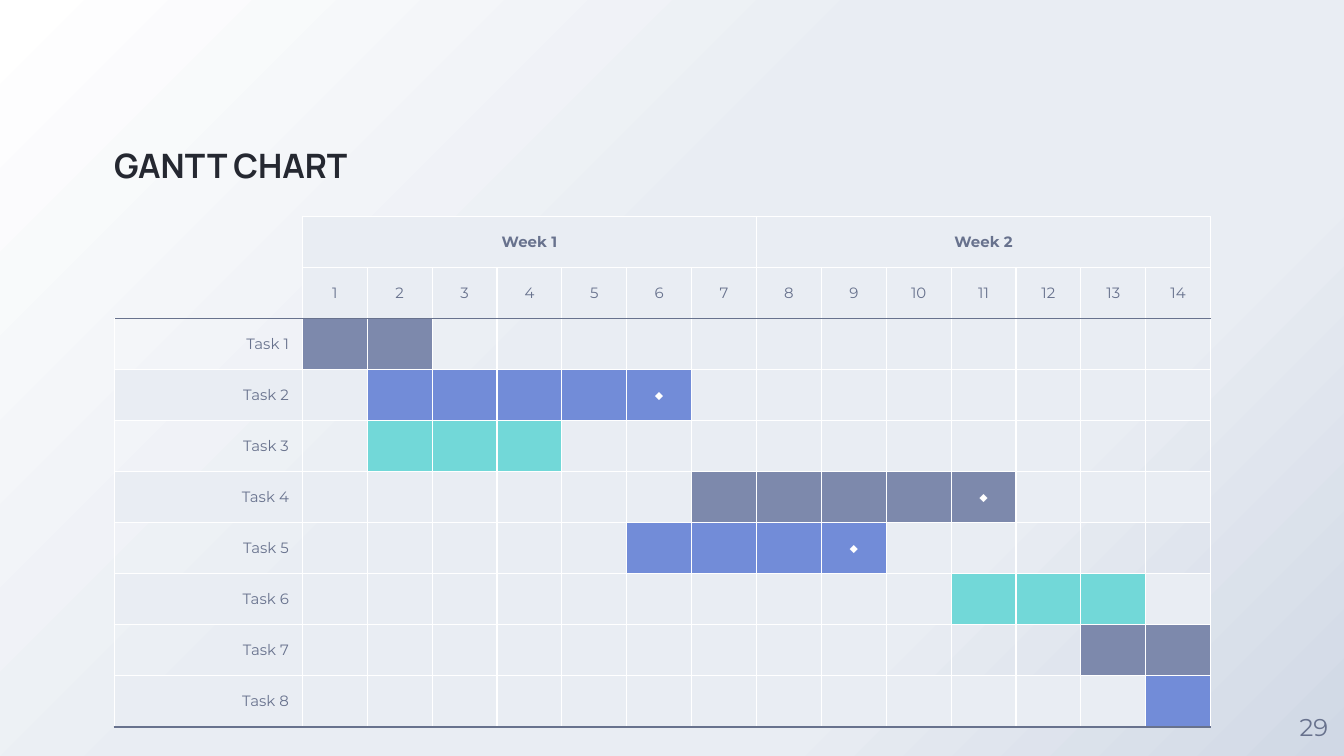
"""Build a two-week Gantt chart slide."""
from pptx import Presentation
from pptx import oxml, util as u
from pptx.dml.color import RGBColor
from pptx.enum import text
from pptx.oxml import ns

SLATE, BLUE, TEAL = "7D89AC", "728CD8", "72D8D8"
PALE, WHITE, GREY, DARK = "E9EDF3", "FFFFFF", "68728D", "252831"
DAYS = 14
TASKS = [
    (1, 2, SLATE, None),
    (2, 6, BLUE, 6),
    (2, 4, TEAL, None),
    (7, 11, SLATE, 11),
    (6, 9, BLUE, 9),
    (11, 13, TEAL, None),
    (13, 14, SLATE, None),
    (14, 14, BLUE, None),
]
ROWS = len(TASKS) + 2


def write(frame, words, size, colour, align, font="Montserrat", bold=False):
    frame.text = words
    para = frame.paragraphs[0]
    para.alignment = align
    span = para.runs[0]
    span.font.name = font
    span.font.size = u.Pt(size)
    span.font.bold = bold
    span.font.color.rgb = RGBColor.from_string(colour)


def set_border(cell, side, colour):
    paint = (f'<a:solidFill><a:srgbClr val="{colour}"/></a:solidFill>'
             if colour else "<a:noFill/>")
    cell._tc.get_or_add_tcPr().append(oxml.parse_xml(
        f'<a:ln{side} {ns.nsdecls("a")} w="9525">{paint}</a:ln{side}>'))


deck = Presentation()
deck.slide_width = u.Inches(10)
deck.slide_height = u.Inches(10 * 9 / 16)
page = deck.slides.add_slide(deck.slide_layouts[6])

page.background.fill.gradient()
gradient = page.element.xpath(".//a:gradFill")[0]
stops = "".join(
    f'<a:gs pos="{position * 1000}"><a:srgbClr val="{colour}"/></a:gs>'
    for position, colour in [(0, WHITE), (44, PALE), (72, PALE), (100, "D0D8E5")])
gradient.getparent().replace(gradient, oxml.parse_xml(
    f'<a:gradFill {ns.nsdecls("a")}><a:gsLst>{stops}</a:gsLst>'
    '<a:path path="circle"><a:fillToRect r="100000" b="100000"/></a:path>'
    '</a:gradFill>'))

labels = [
    ((0.85, 0.44, 3.92, 0.94), text.MSO_ANCHOR.BOTTOM,
     ("GANTT CHART", 18, DARK, text.PP_ALIGN.LEFT, "Manrope", True)),
    ((9.55, 5.18, 0.45, 0.45), text.MSO_ANCHOR.MIDDLE,
     ("29", 13, GREY, text.PP_ALIGN.CENTER)),
]
for place, anchor, wording in labels:
    frame = page.shapes.add_textbox(*map(u.Inches, place)).text_frame
    frame.word_wrap = True
    frame.vertical_anchor = anchor
    frame.margin_left = frame.margin_right = 0
    frame.margin_top = frame.margin_bottom = 0
    write(frame, *wording)

table = page.shapes.add_table(
    ROWS, DAYS + 1, u.Inches(0.85), u.Inches(1.61),
    u.Inches(8.16), u.Inches(0.38 * ROWS)).table
table.first_row = table.horz_banding = False
for row in table.rows:
    row.height = u.Inches(0.38)
table.columns[0].width = u.Inches(1.4)
for day in range(1, DAYS + 1):
    table.columns[day].width = u.Inches(6.76 / DAYS)

for r in range(ROWS):
    for c in range(DAYS + 1):
        cell = table.cell(r, c)
        cell.vertical_anchor = text.MSO_ANCHOR.MIDDLE
        corner = r < 2 and c == 0
        edge = None if corner else WHITE
        set_border(cell, "L", edge)
        set_border(cell, "R", WHITE)
        set_border(cell, "T", GREY if r == 2 else edge)
        set_border(cell, "B", GREY if r in (1, ROWS - 1) else edge)

        words, colour, align, bold = "", GREY, text.PP_ALIGN.CENTER, False
        fill = PALE if r < 2 or r % 2 else None
        if corner:
            fill = None
        elif r == 0:
            bold = True
            words = {1: "Week 1", 8: "Week 2"}.get(c, "")
        elif r == 1:
            words = str(c)
        elif c == 0:
            words, align = f"Task {r - 1}", text.PP_ALIGN.RIGHT
        else:
            start, end, bar, milestone = TASKS[r - 2]
            if start <= c <= end:
                fill = bar
            if c == milestone:
                words, colour = "◆", WHITE

        if fill:
            cell.fill.solid()
            cell.fill.fore_color.rgb = RGBColor.from_string(fill)
        else:
            cell.fill.background()
        if words:
            write(cell.text_frame, words, 8, colour, align, bold=bold)
        else:
            cell.margin_top = cell.margin_bottom = 0

for first in (1, 8):
    table.cell(0, first).merge(table.cell(0, first + 6))

deck.save("out.pptx")
